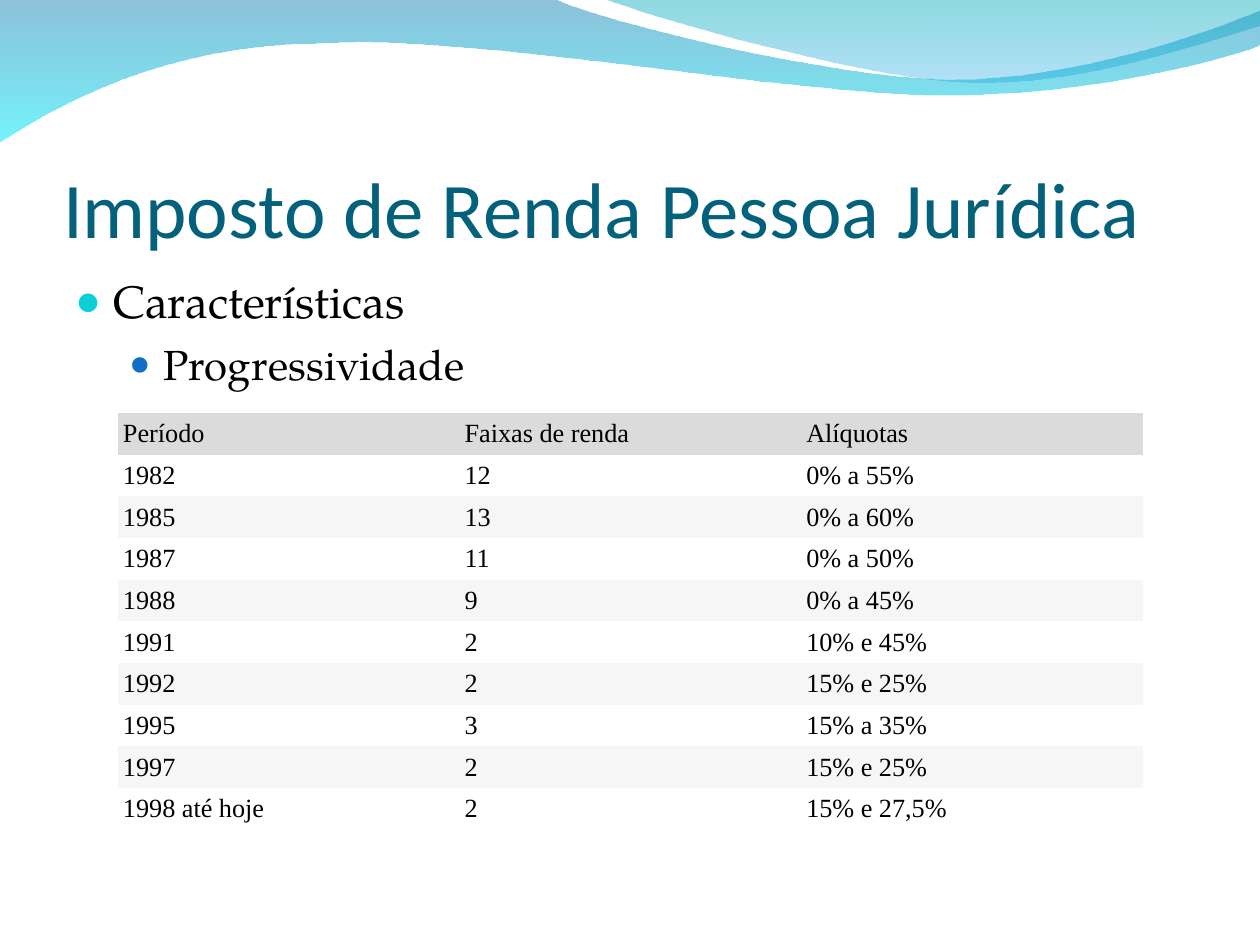
from lxml import etree
from pptx import Presentation
from pptx.dml.color import RGBColor
from pptx.enum.text import MSO_ANCHOR, MSO_AUTO_SIZE, PP_ALIGN
from pptx.oxml.ns import qn
from pptx.util import Pt

LEFT = PP_ALIGN.LEFT
TOP, MIDDLE, BOTTOM = MSO_ANCHOR.TOP, MSO_ANCHOR.MIDDLE, MSO_ANCHOR.BOTTOM
NO_FIT = MSO_AUTO_SIZE.NONE
SCALE = 9144000 / 1260
NO_GRID = "{2D5ABB26-0587-4C30-8999-92F81FD0307C}"

COLORS = {
    "title": "04617B", "text": "000000",
    "dot": "0BD0D9", "subdot": "0F6FC6",
    "head": "DBDBDB", "plain": "FFFFFF", "band": "F6F6F6",
    "deep": "0079AF", "aqua": "00EBF8", "teal": "00ADB6", "sky": "009BE5",
}

# Each step is a line (one point) or a curve (three points)
WAVES = [
    ((0, -1),
     [[(554, -1)],
      [(600, 21), (837, 79), (955, 79)],
      [(1075, 79), (1207, 33), (1260, 11)],
      [(1261, 45)],
      [(1239, 55), (1096, 96), (940, 95)],
      [(784, 94), (481, 35), (324, 43)],
      [(163, 44), (58, 105), (-1, 142)]],
     [("deep", 45), ("aqua", 55)]),
    ((604, -1),
     [[(641, 14), (859, 78), (969, 82)],
      [(1079, 87), (1211, 40), (1260, 26)],
      [(1260, 0)]],
     [("teal", 45), ("sky", 30)]),
]

# Text, level, size, space before, left edge, hang, bullet colour, bullet size
ITEMS = [
    ("Características", 0, 26, 0, 38, 38, "dot", 95),
    ("Progressividade", 1, 24, 6, 88, 34, "subdot", 85),
]

ROWS = [
    ("Período", "Faixas de renda", "Alíquotas"),
    ("1982", "12", "0% a 55%"),
    ("1985", "13", "0% a 60%"),
    ("1987", "11", "0% a 50%"),
    ("1988", "9", "0% a 45%"),
    ("1991", "2", "10% e 45%"),
    ("1992", "2", "15% e 25%"),
    ("1995", "3", "15% a 35%"),
    ("1997", "2", "15% e 25%"),
    ("1998 até hoje", "2", "15% e 27,5%"),
]


def px(n):
    return round(n * SCALE)


def rgb(name):
    return RGBColor.from_string(COLORS[name])


def style(par, face, size, color):
    par.font.name = face
    par.font.size = Pt(size)
    par.font.color.rgb = rgb(color)


def place(shape, x, y, w, h):
    shape.left, shape.top, shape.width, shape.height = map(px, (x, y, w, h))


def inset(box, left, top, right, bottom):
    box.margin_left, box.margin_top = px(left), px(top)
    box.margin_right, box.margin_bottom = px(right), px(bottom)


def bend(shape, steps):
    """Join the three lines of each curved step into one curve."""
    lines = iter(list(shape._element.iter(qn("a:lnTo"))))
    for step in steps:
        parts = [next(lines) for _ in step]
        if len(parts) == 3:
            arc = etree.Element(qn("a:cubicBezTo"))
            parts[0].addprevious(arc)
            for part in parts:
                arc.append(part[0])
                part.getparent().remove(part)


def add_wave(slide, start, steps, stops):
    points = [(px(x), px(y)) for step in steps for x, y in step]
    pen = slide.shapes.build_freeform(*map(px, start))
    pen.add_line_segments(points, close=True)
    wave = pen.convert_to_shape()
    bend(wave, steps)
    wave.shadow.inherit = False
    wave.line.fill.background()
    # Downward gradient with see-through stops
    wave.fill.gradient()
    wave.fill.gradient_angle = 270
    for stop, (name, _) in zip(wave.fill.gradient_stops, stops):
        stop.color.rgb = rgb(name)
    for tint, (_, alpha) in zip(wave._element.spPr.iter(qn("a:srgbClr")), stops):
        etree.SubElement(tint, qn("a:alpha"), val=str(alpha * 1000))
    return wave


def set_title(shape, text):
    place(shape, 63, 97, 1134, 157)
    frame = shape.text_frame
    frame.text = text
    frame.auto_size = NO_FIT
    frame.vertical_anchor = BOTTOM
    inset(frame, 0, 6, 0, 0)
    par = frame.paragraphs[0]
    par.alignment = LEFT
    style(par, "Calibri", 45, "title")


def add_bullet(par, edge, hang, color, size):
    props = par._p.get_or_add_pPr()
    props.set("marL", str(px(edge)))
    props.set("indent", str(-px(hang)))
    tint = etree.SubElement(props, qn("a:buClr"))
    etree.SubElement(tint, qn("a:srgbClr"), val=COLORS[color])
    etree.SubElement(props, qn("a:buSzPct"), val=str(size * 1000))
    etree.SubElement(props, qn("a:buChar"), char="●")


def set_list(shape, items):
    place(shape, 63, 267, 1134, 605)
    frame = shape.text_frame
    frame.auto_size = NO_FIT
    frame.vertical_anchor = TOP
    inset(frame, 12, 6, 12, 6)
    for i, (text, level, size, gap, *bullet) in enumerate(items):
        par = frame.add_paragraph() if i else frame.paragraphs[0]
        par.text = text
        par.level = level
        add_bullet(par, *bullet)
        par.space_before = Pt(gap)
        style(par, "TeX Gyre Pagella", size, "text")


def add_grid(slide, rows):
    box = map(px, (118, 413, 1025, 417))
    grid = slide.shapes.add_table(len(rows), len(rows[0]), *box).table
    grid.first_row = grid.horz_banding = False
    grid._tbl.tblPr.find(qn("a:tableStyleId")).text = NO_GRID
    for r, row in enumerate(rows):
        tone = "head" if r == 0 else "plain" if r % 2 else "band"
        for c, text in enumerate(row):
            cell = grid.cell(r, c)
            cell.text = text
            cell.vertical_anchor = MIDDLE
            inset(cell, 5, 5, 5, 5)
            cell.fill.solid()
            cell.fill.fore_color.rgb = rgb(tone)
            style(cell.text_frame.paragraphs[0], "Times New Roman", 15, "text")


def main():
    deck = Presentation()
    deck.slide_width, deck.slide_height = px(1260), px(945)
    slide = deck.slides.add_slide(deck.slide_layouts[1])
    title, body = slide.placeholders

    # Waves at the top, behind the text
    for wave in WAVES:
        title._element.addprevious(add_wave(slide, *wave)._element)

    # Heading, list and table
    set_title(title, "Imposto de Renda Pessoa Jurídica")
    set_list(body, ITEMS)
    add_grid(slide, ROWS)
    deck.save("out.pptx")


if __name__ == "__main__":
    main()
